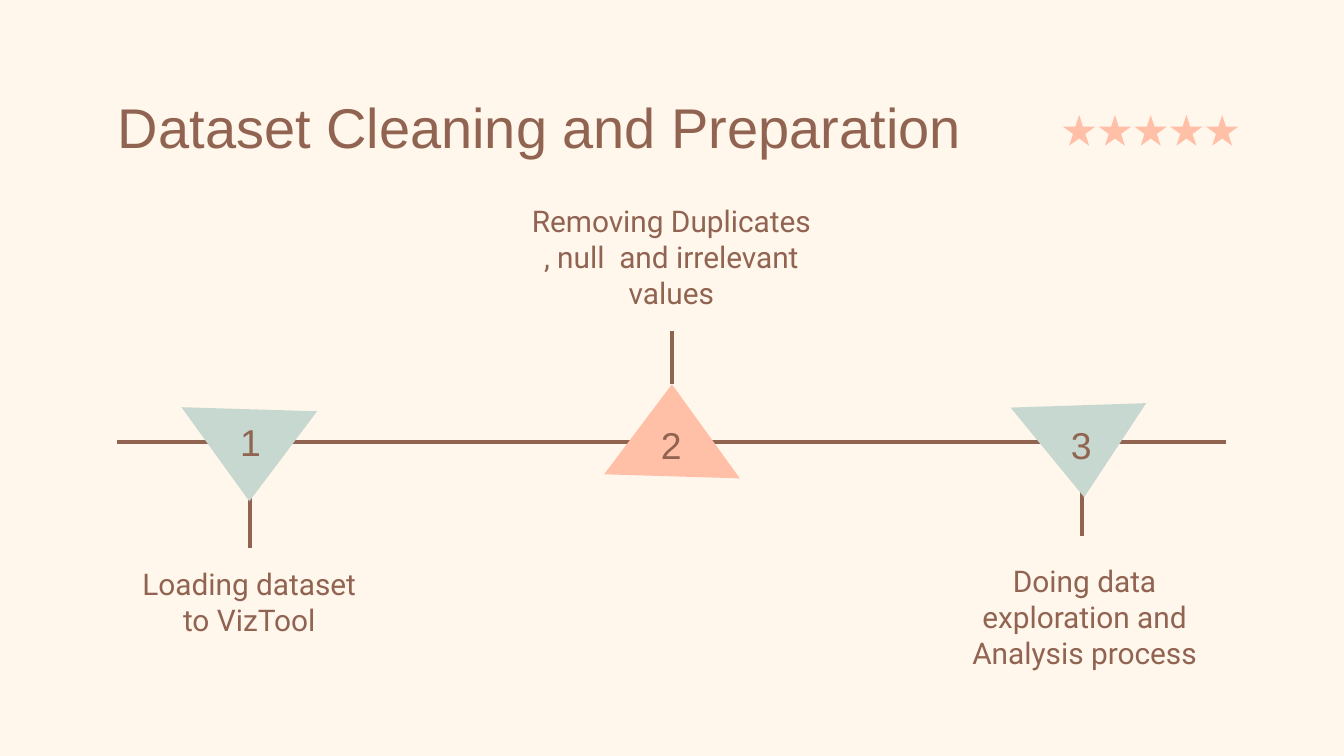
"""Builds a three-step timeline slide on dataset cleaning and preparation."""
import dataclasses

import pptx
import pptx.dml.color
import pptx.enum.shapes
import pptx.enum.text
import pptx.oxml.ns
import pptx.util
from lxml import etree

WIDTH = pptx.util.Inches(10)
HEIGHT = pptx.util.Emu(WIDTH * 9 // 16)
COLUMNS, ROWS = 100, 56.25
ALIGN = pptx.enum.text.PP_ALIGN
ANCHOR = pptx.enum.text.MSO_ANCHOR


@dataclasses.dataclass(frozen=True)
class Theme:
    background: str = "FFF6EC"
    ink: str = "916452"
    peach: str = "FFC0A7"
    sage: str = "C7D8D0"
    heading_font: str = "Arial"
    body_font: str = "Roboto"
    title_size: float = 30
    number_size: float = 20
    body_size: float = 16
    line_width: float = 2.25


@dataclasses.dataclass(frozen=True)
class Step:
    number: str
    label: str
    label_area: tuple
    number_area: tuple
    stem: tuple
    center: tuple
    turn: float
    color: str
    anchor: ANCHOR = ANCHOR.TOP


THEME = Theme()
STEPS = (
    Step("1", "Loading dataset to VizTool", (9.2, 41.1, 18.7, 7.9),
         (14.3, 31.3, 8.7, 3.1), (18.6, 36.8), (18.55, 33.8), 180, THEME.sage),
    Step("2", "Removing Duplicates , null  and irrelevant values", (38.5, 16.2, 22.9, 7.9),
         (45.6, 31.5, 8.7, 3.1), (50, 24.6), (50, 32.1), 0, THEME.peach, ANCHOR.BOTTOM),
    Step("3", "Doing data exploration and Analysis process", (70.8, 40.9, 19.8, 7.9),
         (76.1, 31.5, 8.7, 3.1), (80.5, 35.9), (80.45, 33.5), 176.4, THEME.sage),
)
STEM_ROWS = 4
TRIANGLE = ((-5.05, 3.2), (0, -3.5), (5.05, 3.5))


def across(columns):
    return pptx.util.Emu(round(WIDTH * columns / COLUMNS))


def down(rows):
    return pptx.util.Emu(round(HEIGHT * rows / ROWS))


def place(left, top, width, height):
    return across(left), down(top), across(width), down(height)


def rgb(color):
    return pptx.dml.color.RGBColor.from_string(color)


def paint(shape, color):
    shape.shadow.inherit = False
    shape.fill.solid()
    shape.fill.fore_color.rgb = rgb(color)
    shape.line.fill.background()


def add_text(page, text, area, *, font, size, align=ALIGN.CENTER, anchor=ANCHOR.TOP):
    box = page.shapes.add_textbox(*place(*area))
    frame = box.text_frame
    frame.word_wrap = True
    frame.vertical_anchor = anchor
    frame.margin_left = frame.margin_right = across(1)
    frame.margin_top = frame.margin_bottom = down(1)
    para = frame.paragraphs[0]
    para.alignment = align
    span = para.add_run()
    span.text = text
    span.font.name = font
    span.font.size = pptx.util.Pt(size)
    span.font.color.rgb = rgb(THEME.ink)


def add_line(page, start, end):
    line = page.shapes.add_connector(
        pptx.enum.shapes.MSO_CONNECTOR.STRAIGHT,
        across(start[0]), down(start[1]), across(end[0]), down(end[1]))
    line.line.color.rgb = rgb(THEME.ink)
    line.line.width = pptx.util.Pt(THEME.line_width)
    properties = line._element.find(pptx.oxml.ns.qn("p:spPr"))
    etree.SubElement(properties, pptx.oxml.ns.qn("a:effectLst"))


def add_triangle(page, center, turn, color):
    points = [(across(center[0] + x), down(center[1] + y)) for x, y in TRIANGLE]
    builder = page.shapes.build_freeform(*points[0])
    builder.add_line_segments(points[1:], close=True)
    triangle = builder.convert_to_shape()
    triangle.rotation = turn
    paint(triangle, color)


def add_rating(page, left, top, count=5, pitch=2.66):
    stars = page.shapes.add_group_shape()
    for index in range(count):
        star = stars.shapes.add_shape(
            pptx.enum.shapes.MSO_SHAPE.STAR_5_POINT,
            *place(left + index * pitch, top, 2.4, 2.3))
        paint(star, THEME.peach)


def main():
    deck = pptx.Presentation()
    deck.slide_width, deck.slide_height = WIDTH, HEIGHT
    page = deck.slides.add_slide(deck.slide_layouts[6])
    page.background.fill.solid()
    page.background.fill.fore_color.rgb = rgb(THEME.background)

    add_rating(page, 79.1, 8.55)
    add_line(page, (8.7, 32.9), (91.25, 32.9))
    for step in STEPS:
        column, row = step.stem
        add_line(page, step.stem, (column, row + STEM_ROWS))
    add_text(page, "Dataset Cleaning and Preparation", (7.8, 5.9, 84.4, 6.3),
             font=THEME.heading_font, size=THEME.title_size, align=ALIGN.LEFT)
    for step in STEPS:
        add_text(page, step.label, step.label_area, font=THEME.body_font,
                 size=THEME.body_size, anchor=step.anchor)
        add_triangle(page, step.center, step.turn, step.color)
        add_text(page, step.number, step.number_area, font=THEME.heading_font,
                 size=THEME.number_size, anchor=ANCHOR.MIDDLE)
    deck.save("out.pptx")


if __name__ == "__main__":
    main()
